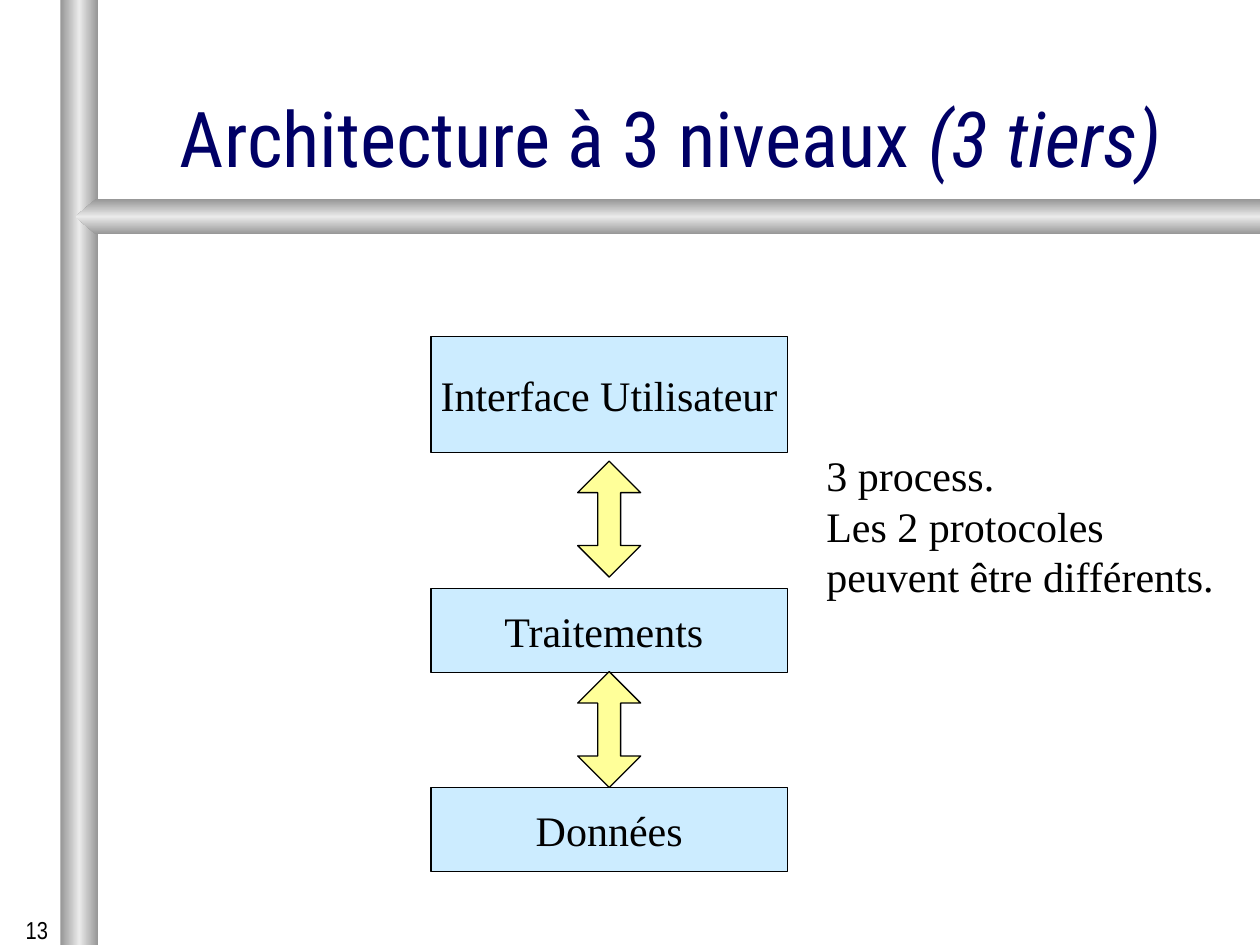
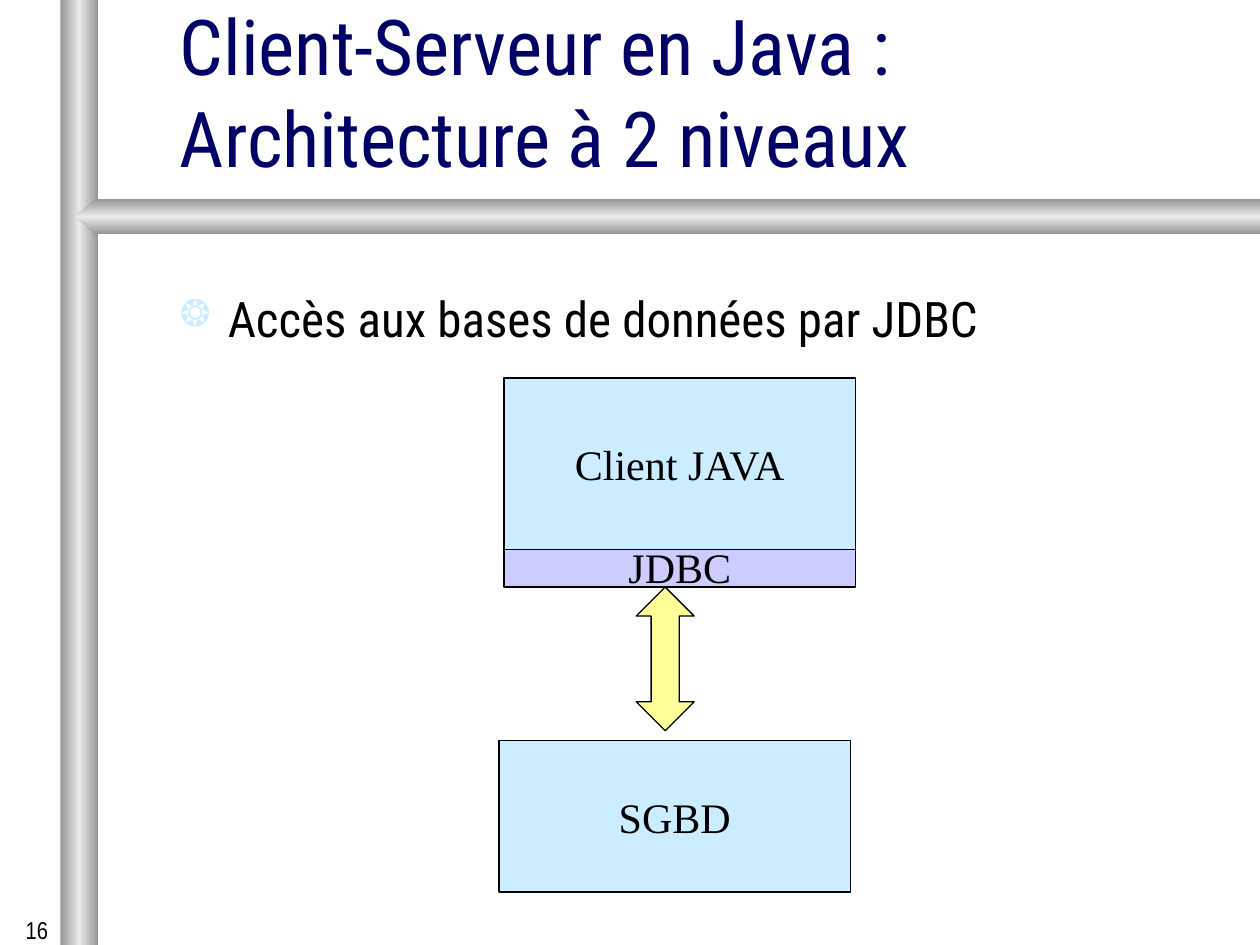
from copy import deepcopy

from lxml import etree
from pptx import Presentation
from pptx import util as u
from pptx.dml.color import RGBColor
from pptx.enum import shapes, text
from pptx.oxml import ns

NAVY = RGBColor(0x00, 0x00, 0x66)
BLACK = RGBColor(0x00, 0x00, 0x00)
SKY = RGBColor(0xCC, 0xEC, 0xFF)
LILAC = RGBColor(0xCC, 0xCC, 0xFF)
YELLOW = RGBColor(0xFF, 0xFF, 0x99)
STEEL = RGBColor(0x96, 0x96, 0x96)
SILVER = RGBColor(0xEA, 0xEA, 0xEA)

HEADING_FONT = "Roboto Condensed"
DIAGRAM_FONT = "Times New Roman"
NUMBER_FONT = "Arial Narrow"

WIDTH, HEIGHT = 10, 7.5  # inches
CONTENT_LEFT, CONTENT_WIDTH = 1.33, 8.5
BAR_LEFT, BAR_WIDTH = 0.48, 0.3
BAND_TOP, BAND_MIDDLE, BAND_BOTTOM = 1.58, 1.72, 1.86
BAND_TIP, BAND_SHOULDER = 0.6, 0.76


def inches(*lengths):
    return [u.Inches(length) for length in lengths]


def put_text(frame, *lines, font=DIAGRAM_FONT, size=24, color=BLACK,
             align=text.PP_ALIGN.LEFT, anchor=text.MSO_ANCHOR.TOP,
             wrap=False, before=0, italic_tail=""):
    """Write one paragraph per line; italic_tail ends the last one."""
    frame.word_wrap = wrap
    frame.vertical_anchor = anchor
    for index, line in enumerate(lines):
        paragraph = frame.add_paragraph() if index else frame.paragraphs[0]
        paragraph.alignment = align
        paragraph.space_before = u.Pt(before)
        tail = italic_tail if index == len(lines) - 1 else ""
        for words, italic in ((line, False), (tail, True)):
            if words:
                run = paragraph.add_run()
                run.text = words
                run.font.name, run.font.size = font, u.Pt(size)
                run.font.color.rgb = color
                run.font.italic = italic


def add_text(slide, left, top, width, height, *lines, **style):
    frame = slide.shapes.add_textbox(*inches(left, top, width, height)).text_frame
    put_text(frame, *lines, **style)
    return frame


def add_filled(slide, kind, left, top, width, height, color):
    shape = slide.shapes.add_shape(kind, *inches(left, top, width, height))
    shape.shadow.inherit = False
    shape.fill.solid()
    shape.fill.fore_color.rgb = color
    shape.line.color.rgb = BLACK
    shape.line.width = u.Pt(0.74)
    return shape


def add_box(slide, left, top, width, height, label, color=SKY):
    box = add_filled(slide, shapes.MSO_SHAPE.RECTANGLE, left, top, width, height, color)
    put_text(box.text_frame, label, align=text.PP_ALIGN.CENTER,
             anchor=text.MSO_ANCHOR.MIDDLE)


def add_exchange(slide, center, top, width, height, head):
    """Two-way vertical arrow; head is the head's length per arrow width."""
    arrow = add_filled(slide, shapes.MSO_SHAPE.UP_DOWN_ARROW,
                       center - width / 2, top, width, height, YELLOW)
    arrow.adjustments[0] = 0.5
    arrow.adjustments[1] = head


def make_metallic(shape, angle):
    """Dark edges with a light middle, and no outline."""
    shape.shadow.inherit = False
    shape.line.fill.background()
    shape.fill.gradient()
    shape.fill.gradient_angle = angle
    stop_list = next(shape._element.iter(ns.qn("a:gsLst")))
    stop_list.insert(1, deepcopy(stop_list[0]))
    for stop, position, color in zip(shape.fill.gradient_stops,
                                     (0, 0.5, 1), (STEEL, SILVER, STEEL)):
        stop.position = position
        stop.color.rgb = color


def add_bullet(paragraph, indent, color, percent, mark):
    properties = paragraph._p.get_or_add_pPr()
    properties.set("marL", str(u.Inches(indent)))
    properties.set("indent", str(-u.Inches(indent)))
    bullet_color = etree.SubElement(properties, ns.qn("a:buClr"))
    etree.SubElement(bullet_color, ns.qn("a:srgbClr"), val=str(color))
    etree.SubElement(properties, ns.qn("a:buSzPct"), val=str(percent * 1000))
    etree.SubElement(properties, ns.qn("a:buChar"), char=mark)


def start_slide(deck, number, title, italic_tail=""):
    """Blank slide with the shared bars, title and page number."""
    slide = deck.slides.add_slide(deck.slide_layouts[6])

    # Metallic bars
    bar = slide.shapes.add_shape(shapes.MSO_SHAPE.RECTANGLE,
                                 *inches(BAR_LEFT, 0, BAR_WIDTH, HEIGHT))
    make_metallic(bar, 180)
    outline = [(WIDTH, BAND_TOP), (BAND_SHOULDER, BAND_TOP), (BAND_TIP, BAND_MIDDLE),
               (BAND_SHOULDER, BAND_BOTTOM), (WIDTH, BAND_BOTTOM)]
    corners = [inches(*corner) for corner in outline]
    builder = slide.shapes.build_freeform(*corners[0])
    builder.add_line_segments(corners[1:], close=True)
    make_metallic(builder.convert_to_shape(), 90)

    # Title and page number
    add_text(slide, CONTENT_LEFT, 0.25, CONTENT_WIDTH, 1.25, title,
             italic_tail=italic_tail, font=HEADING_FONT, size=44, color=NAVY,
             anchor=text.MSO_ANCHOR.BOTTOM, wrap=True)
    add_text(slide, 0, 7.21, BAR_LEFT, 0.29, str(number), font=NUMBER_FONT,
             size=14, align=text.PP_ALIGN.RIGHT, wrap=True, before=8.8)
    return slide


def build_three_tiers(deck):
    slide = start_slide(deck, 13, "Architecture à 3 niveaux ", "(3 tiers)")
    tier_left, tier_width = 3.42, 2.83
    center = tier_left + tier_width / 2

    # Tiers and the exchanges between them
    for top, height, label in ((2.67, 0.92, "Interface Utilisateur"),
                               (4.67, 0.67, "Traitements "),
                               (6.25, 0.67, "Données")):
        add_box(slide, tier_left, top, tier_width, height, label)
    for top in (3.66, 5.33):
        add_exchange(slide, center, top, 0.5, 0.92, 0.365)

    # Remark
    remark = add_text(slide, 6.46, 3.52, 3.28, 1.3, "3 process.",
                      "Les 2 protocoles ", "peuvent être différents.")
    remark.auto_size = text.MSO_AUTO_SIZE.SHAPE_TO_FIT_TEXT


def build_two_tiers(deck):
    slide = start_slide(deck, 16, "Client-Serveur en Java : Architecture à 2 niveaux")
    tier_width = 2.79

    # Client and its driver, exchanging with the database
    add_exchange(slide, 5.28, 4.66, 0.46, 1.14, 0.486)
    add_box(slide, 4, 4.33, tier_width, 0.33, "JDBC", LILAC)
    add_box(slide, 3.96, 5.88, tier_width, 1.2, "SGBD")
    add_box(slide, 4, 3, tier_width, 1.36, "Client JAVA")

    # Bulleted statement
    statement = add_text(slide, CONTENT_LEFT, 2.24, CONTENT_WIDTH, 4.5,
                         "Accès aux bases de données par JDBC",
                         font=HEADING_FONT, size=28, wrap=True, before=7)
    add_bullet(statement.paragraphs[0], 0.38, SKY, 75, "❂")


def main():
    deck = Presentation()
    deck.slide_width, deck.slide_height = inches(WIDTH, HEIGHT)
    build_three_tiers(deck)
    build_two_tiers(deck)
    deck.save("out.pptx")


main()
